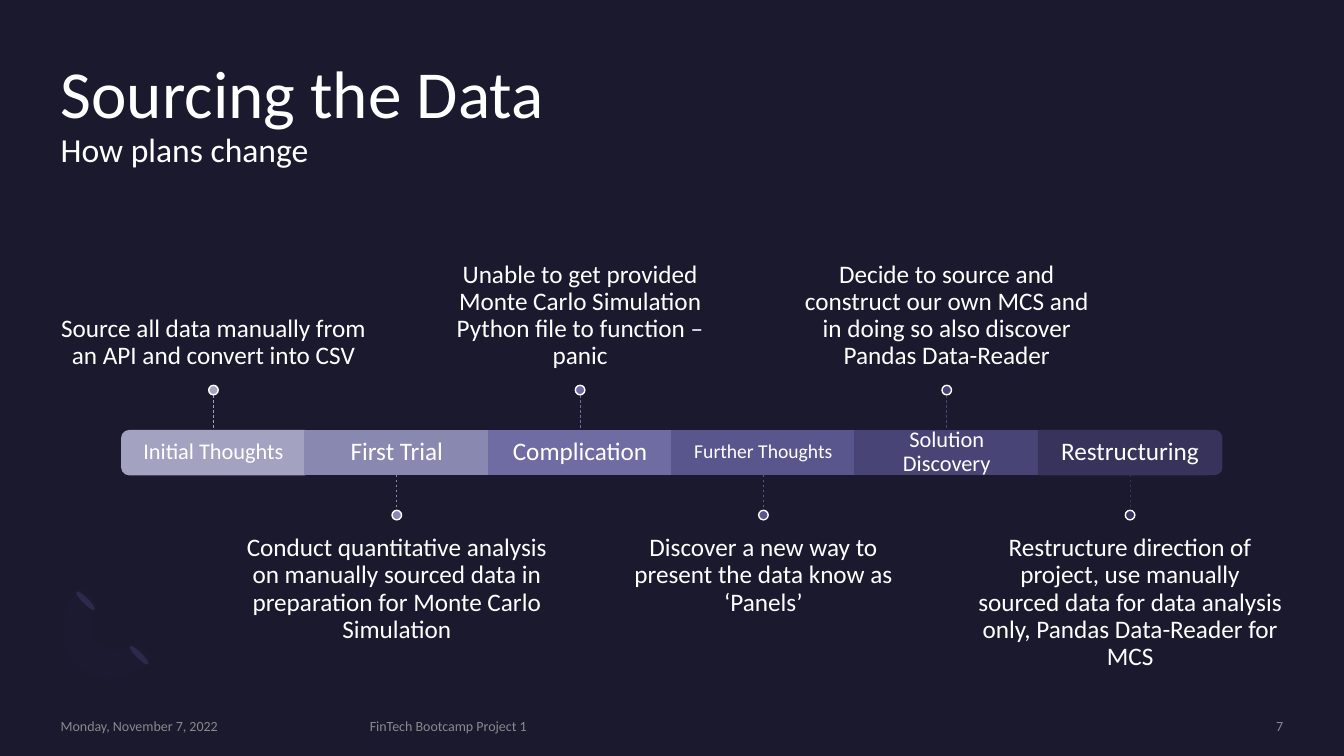
from dataclasses import dataclass

from lxml.etree import SubElement
from pptx import Presentation
from pptx.dml.color import RGBColor
from pptx.enum.dml import MSO_LINE
from pptx.enum.shapes import MSO_CONNECTOR, MSO_SHAPE as Shp
from pptx.enum.text import MSO_ANCHOR as Anchor, PP_ALIGN as Align
from pptx.oxml.ns import qn
from pptx.util import Cm, Pt

FONT = "Calibri"
BACKGROUND = RGBColor(0x1B, 0x19, 0x2E)
WHITE = RGBColor(0xFF, 0xFF, 0xFF)
GREY = RGBColor(0xA6, 0xA6, 0xA6)
PETAL = RGBColor(0x2C, 0x28, 0x4A)
LILAC = RGBColor(0x77, 0x71, 0xB2)

# Timeline measures in cm
BAR_LEFT, BAR_TOP, STEP_W, BAR_H = 3.07, 10.85, 4.62, 1.11
CAPTION_W, CAPTION_H = 7.7, 3.86
CAPTION_INSET = 0.38
STEM, DOT = 0.9, 0.24


@dataclass
class Step:
    label: str
    size: int
    inset: float
    colour: RGBColor
    caption: str


@dataclass
class Footer:
    text: str
    left: float
    width: float
    align: Align


STEPS = [
    Step("Initial Thoughts", 16, 0.33, RGBColor(0xA3, 0xA3, 0xC1),
         "Source all data manually from an API and convert into CSV"),
    Step("First Trial", 18, 0.38, RGBColor(0x89, 0x88, 0xB1),
         "Conduct quantitative analysis on manually sourced data in "
         "preparation for Monte Carlo Simulation"),
    Step("Complication", 18, 0.38, RGBColor(0x6E, 0x6C, 0xA3),
         "Unable to get provided Monte Carlo Simulation Python file to function – panic"),
    Step("Further Thoughts", 14, 0.3, RGBColor(0x59, 0x56, 0x8E),
         "Discover a new way to present the data know as ‘Panels’"),
    Step("Solution Discovery", 16, 0.33, RGBColor(0x48, 0x44, 0x75),
         "Decide to source and construct our own MCS and in doing so also "
         "discover Pandas Data-Reader"),
    Step("Restructuring", 18, 0.38, RGBColor(0x37, 0x33, 0x5B),
         "Restructure direction of project, use manually sourced data for data "
         "analysis only, Pandas Data-Reader for MCS"),
]
FOOTERS = [
    Footer("Monday, November 7, 2022", 1.53, 7.32, Align.LEFT),
    Footer("FinTech Bootcamp Project 1", 9.32, 17.73, Align.LEFT),
    Footer("7", 27.64, 4.7, Align.RIGHT),
]

# Curved band: each arm is a Bézier given by four points
OUTER_START = [(1.93, 16.74), (1.42, 16.23), (1.47, 15.37), (2.06, 14.78)]
INNER_START = [(2.51, 15.24), (2.21, 15.52), (2.18, 15.98), (2.44, 16.21)]
INNER_END = [(2.44, 16.21), (2.69, 16.46), (3.12, 16.43), (3.43, 16.15)]
OUTER_END = [(3.86, 16.61), (3.3, 17.17), (2.41, 17.25), (1.93, 16.74)]


def set_alpha(element, percent: int) -> None:
    """Make every RGB colour inside the element partly transparent."""
    for clr in element.iter(qn("a:srgbClr")):
        SubElement(clr, qn("a:alpha"), val=str(percent * 1000))


def bezier(points: list, parts: int = 12) -> list:
    """Points along a cubic curve, in EMU."""
    weights = (1, 3, 3, 1)
    return [tuple(Cm(sum(w * (1 - t) ** (3 - k) * t ** k * pt[axis]
                         for k, (w, pt) in enumerate(zip(weights, points))))
                  for axis in (0, 1))
            for t in (n / parts for n in range(parts + 1))]


def add_shape(s, kind: Shp, left: float, top: float, w: float, h: float,
              fill: RGBColor, line: RGBColor | None = None, rotation: float = 0):
    sp = s.shapes.add_shape(kind, Cm(left), Cm(top), Cm(w), Cm(h))
    sp.shadow.inherit = False
    sp.rotation = rotation
    sp.fill.solid()
    sp.fill.fore_color.rgb = fill
    if line is None:
        sp.line.fill.background()
    else:
        sp.line.color.rgb = line
        sp.line.width = Pt(1)
    return sp


def set_margins(tf, left: float = 0, top: float = 0, right: float = 0,
                bottom: float = 0) -> None:
    tf.margin_left, tf.margin_top = Cm(left), Cm(top)
    tf.margin_right, tf.margin_bottom = Cm(right), Cm(bottom)


def add_text(s, text: str, left: float, top: float, w: float, h: float, size: int,
             anchor: Anchor, align: Align = Align.CENTER, colour: RGBColor = WHITE,
             spacing: float = 0.9, margins: tuple = ()):
    tf = s.shapes.add_textbox(Cm(left), Cm(top), Cm(w), Cm(h)).text_frame
    tf.word_wrap = True
    tf.vertical_anchor = anchor
    set_margins(tf, *margins)
    p = tf.paragraphs[0]
    p.text = text
    p.alignment = align
    p.line_spacing = spacing
    p.font.name, p.font.size = FONT, Pt(size)
    p.font.color.rgb = colour
    return p


def add_title(s) -> None:
    title = s.shapes.title
    title.left, title.top, title.width, title.height = Cm(1.53), Cm(1.53), Cm(30.81), Cm(3.7)
    tf = title.text_frame
    tf.vertical_anchor = Anchor.TOP
    set_margins(tf)
    p = tf.paragraphs[0]
    p.alignment = Align.LEFT
    p.line_spacing = 0.9
    p.font.name = FONT
    p.font.color.rgb = WHITE
    r = p.add_run()
    r.text = "Sourcing the Data"
    r.font.size = Pt(48)
    p.add_line_break()
    r = p.add_run()
    r.text = "How plans change"
    r.font.size = Pt(24)


def add_ornament(s) -> None:
    for left, top in ((3.43, 16.18), (2.08, 14.81)):
        add_shape(s, Shp.OVAL, left, top, 0.15, 0.66, PETAL, rotation=135)
    points = [pt for arm in (OUTER_START, INNER_START, INNER_END, OUTER_END)
              for pt in bezier(arm)]
    builder = s.shapes.build_freeform(*points[0], scale=1.0)
    builder.add_line_segments(points[1:], close=True)
    band = builder.convert_to_shape()
    band.shadow.inherit = False
    band.fill.solid()
    band.fill.fore_color.rgb = LILAC
    band.line.fill.background()
    set_alpha(band._element.spPr, 2)


def add_step(s, i: int, step: Step) -> None:
    left = BAR_LEFT + i * STEP_W
    centre = left + STEP_W / 2
    above = i % 2 == 0

    if i in (0, len(STEPS) - 1):
        add_shape(s, Shp.ROUND_2_SAME_RECTANGLE, centre - BAR_H / 2,
                  BAR_TOP + (BAR_H - STEP_W) / 2, BAR_H, STEP_W,
                  step.colour, step.colour, 270 if i == 0 else 90)
    else:
        add_shape(s, Shp.RECTANGLE, left, BAR_TOP, STEP_W, BAR_H, step.colour, step.colour)
    add_text(s, step.label, left, BAR_TOP, STEP_W, BAR_H, step.size, Anchor.MIDDLE,
             margins=(step.inset,) * 4)

    if above:
        stem_top = BAR_TOP - STEM
        dot_top = stem_top - DOT
        caption_top, anchor = dot_top - CAPTION_H, Anchor.BOTTOM
        margins = (0, 0, 0, CAPTION_INSET)
    else:
        stem_top = BAR_TOP + BAR_H
        dot_top = stem_top + STEM
        caption_top, anchor = dot_top + DOT, Anchor.TOP
        margins = (0, CAPTION_INSET, 0, 0)
    add_text(s, step.caption, centre - CAPTION_W / 2, caption_top, CAPTION_W, CAPTION_H,
             18, anchor, margins=margins)

    stem = s.shapes.add_connector(MSO_CONNECTOR.STRAIGHT, Cm(centre), Cm(stem_top),
                                  Cm(centre), Cm(stem_top + STEM))
    stem.line.color.rgb = step.colour
    stem.line.width = Pt(0.5)
    stem.line.dash_style = MSO_LINE.DASH
    SubElement(stem._element.spPr, qn("a:effectLst"))
    add_shape(s, Shp.OVAL, centre - DOT / 2, dot_top, DOT, DOT, step.colour, WHITE)


def main() -> None:
    prs = Presentation()
    prs.slide_width, prs.slide_height = Cm(33.87), Cm(19.05)
    s = prs.slides.add_slide(prs.slide_layouts[5])
    s.background.fill.solid()
    s.background.fill.fore_color.rgb = BACKGROUND
    add_ornament(s)
    add_title(s)
    for i, step in enumerate(STEPS):
        add_step(s, i, step)
    for f in FOOTERS:
        p = add_text(s, f.text, f.left, 18.08, f.width, 0.43, 10, Anchor.MIDDLE,
                     f.align, GREY, 1.0)
        set_alpha(p._p, 80)
    prs.save("out.pptx")


if __name__ == "__main__":
    main()
